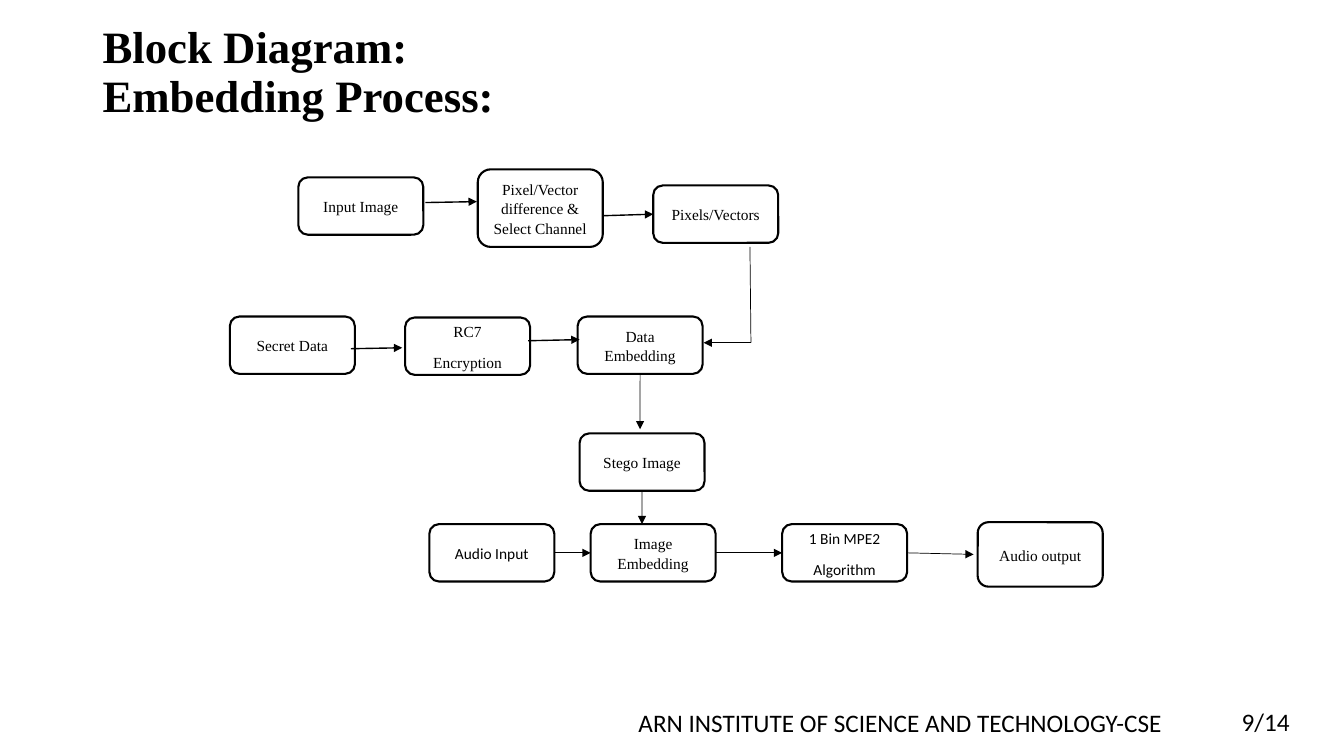
"""Build the block diagram slide of the embedding process."""
from dataclasses import dataclass
from typing import NamedTuple, Optional, Union

from lxml.etree import SubElement
from pptx import Presentation
from pptx.dml.color import RGBColor
from pptx.enum.shapes import MSO_CONNECTOR as Link, MSO_SHAPE as Preset
from pptx.enum.text import MSO_ANCHOR as Anchor, MSO_AUTO_SIZE as Fit, PP_ALIGN as Align
from pptx.oxml.ns import qn
from pptx.shapes.autoshape import Shape
from pptx.slide import Slide
from pptx.util import Pt

TOP, LEFT, BOTTOM, RIGHT = range(4)
SERIF, SANS = "Times New Roman", "Calibri"
BOX_WIDTH, BOX_HEIGHT = 89.3, 41


@dataclass(frozen=True)
class Theme:
    ink: RGBColor = RGBColor(0, 0, 0)
    paper: RGBColor = RGBColor(255, 255, 255)
    title_size: float = 32
    footer_size: float = 18
    box_size: float = 11
    outline: float = 1.5
    thick: float = 1
    thin: float = 0.5


THEME = Theme()


@dataclass(frozen=True)
class Block:
    text: str
    left: float
    top: float
    height: float = BOX_HEIGHT
    font: str = SERIF


class Spot(NamedTuple):
    x: float
    y: float


class Joint(NamedTuple):
    block: str
    side: int


End = Union[Spot, Joint]


@dataclass(frozen=True)
class Arrow:
    start: End
    finish: End
    width: float = THEME.thin
    head: bool = True


BLOCKS = {
    "input": Block("Input Image", 213.1, 126.7),
    "channel": Block("Pixel/Vector difference & Select Channel", 341.3, 121, 55.4),
    "pixels": Block("Pixels/Vectors", 466.6, 132.5),
    "secret": Block("Secret Data", 164.2, 226.1),
    "encryption": Block("RC7\nEncryption", 289.4, 226.8),
    "data": Block("Data Embedding", 412.6, 226.1),
    "stego": Block("Stego Image", 414, 309.6),
    "audio": Block("Audio Input", 306.7, 374.4, font=SANS),
    "image": Block("Image Embedding", 421.9, 374.4),
    "algorithm": Block("1 Bin MPE2\nAlgorithm", 558.7, 374.4, font=SANS),
    "output": Block("Audio output", 698.4, 373, 46),
}

ELBOW = Spot(536.4, 244.8)
ARROWS = [
    Arrow(Spot(303.8, 144.7), Spot(340.6, 144), THEME.thick),
    Arrow(Spot(430.6, 154.1), Joint("pixels", LEFT), THEME.thick),
    Arrow(Spot(250.6, 249.1), Spot(287.3, 248.4), THEME.thick),
    Arrow(Spot(377.3, 243.4), Spot(414, 242.6), THEME.thick),
    Arrow(Spot(535.7, 176.4), ELBOW, head=False),
    Arrow(ELBOW, Spot(502.6, 244.8)),
    Arrow(Joint("data", BOTTOM), Spot(457.2, 306.7)),
    Arrow(Joint("stego", BOTTOM), Spot(458.6, 374.4)),
    Arrow(Joint("audio", RIGHT), Joint("image", LEFT)),
    Arrow(Joint("image", RIGHT), Joint("algorithm", LEFT)),
    Arrow(Joint("algorithm", RIGHT), Spot(695.5, 396)),
]


def write(shape: Shape, text: str, *, font: str, size: float, bold: bool = False,
          align: Align = Align.LEFT, anchor: Anchor = Anchor.TOP,
          spacing: float = 1, after: float = 0, fit: Fit = Fit.NONE) -> None:
    frame = shape.text_frame
    frame.word_wrap = True
    frame.auto_size = fit
    frame.vertical_anchor = anchor
    for index, content in enumerate(text.split("\n")):
        para = frame.add_paragraph() if index else frame.paragraphs[0]
        para.alignment = align
        para.line_spacing = spacing
        para.space_after = Pt(after)
        for row, line in enumerate(content.split("\v")):
            if row:
                para.add_line_break()
            span = para.add_run()
            span.text = line
            span.font.name = font
            span.font.size = Pt(size)
            span.font.bold = bold
            span.font.color.rgb = THEME.ink


def add_text(page: Slide, text: str, left: float, top: float, width: float,
             height: float, **style) -> None:
    box = page.shapes.add_textbox(Pt(left), Pt(top), Pt(width), Pt(height))
    write(box, text, **style)


def add_block(page: Slide, block: Block) -> Shape:
    box = page.shapes.add_shape(Preset.ROUNDED_RECTANGLE, Pt(block.left), Pt(block.top),
                                Pt(BOX_WIDTH), Pt(block.height))
    box.shadow.inherit = False
    box.fill.solid()
    box.fill.fore_color.rgb = THEME.paper
    box.line.color.rgb = THEME.ink
    box.line.width = Pt(THEME.outline)
    write(box, block.text, font=block.font, size=THEME.box_size, align=Align.CENTER,
          anchor=Anchor.MIDDLE, spacing=1.07, after=8)
    return box


def locate(end: End) -> Spot:
    if isinstance(end, Spot):
        return end
    block = BLOCKS[end.block]
    across = {LEFT: 0, RIGHT: 1}.get(end.side, 0.5)
    down = {TOP: 0, BOTTOM: 1}.get(end.side, 0.5)
    return Spot(block.left + across * BOX_WIDTH, block.top + down * block.height)


def add_arrow(page: Slide, arrow: Arrow, boxes: dict[str, Shape]) -> None:
    points = [Pt(value) for end in (arrow.start, arrow.finish) for value in locate(end)]
    line = page.shapes.add_connector(Link.STRAIGHT, *points)
    for end, connect in ((arrow.start, line.begin_connect), (arrow.finish, line.end_connect)):
        if isinstance(end, Joint):
            connect(boxes[end.block], end.side)
    line.line.color.rgb = THEME.ink
    line.line.width = Pt(arrow.width)
    properties = line.element.spPr
    if arrow.head:
        SubElement(properties.find(qn("a:ln")), qn("a:tailEnd"), type="triangle")
    SubElement(properties, qn("a:effectLst"))


def main() -> None:
    deck = Presentation()
    deck.slide_width, deck.slide_height = Pt(960), Pt(540)
    page = deck.slides.add_slide(deck.slide_layouts[6])
    add_text(page, "Block Diagram:\vEmbedding Process:", 66.2, 14.4, 307.4, 77.8,
             font=SERIF, size=THEME.title_size, bold=True, spacing=0.9)
    boxes = {name: add_block(page, block) for name, block in BLOCKS.items()}
    for arrow in ARROWS:
        add_arrow(page, arrow, boxes)
    footer = dict(font=SANS, size=THEME.footer_size, fit=Fit.SHAPE_TO_FIT_TEXT)
    add_text(page, "9/14", 879.8, 501.1, 55.4, 29, **footer)
    add_text(page, "ARN INSTITUTE OF SCIENCE AND TECHNOLOGY-CSE", 449, 501.8, 417.6, 29,
             **footer)
    deck.save("out.pptx")


if __name__ == "__main__":
    main()
